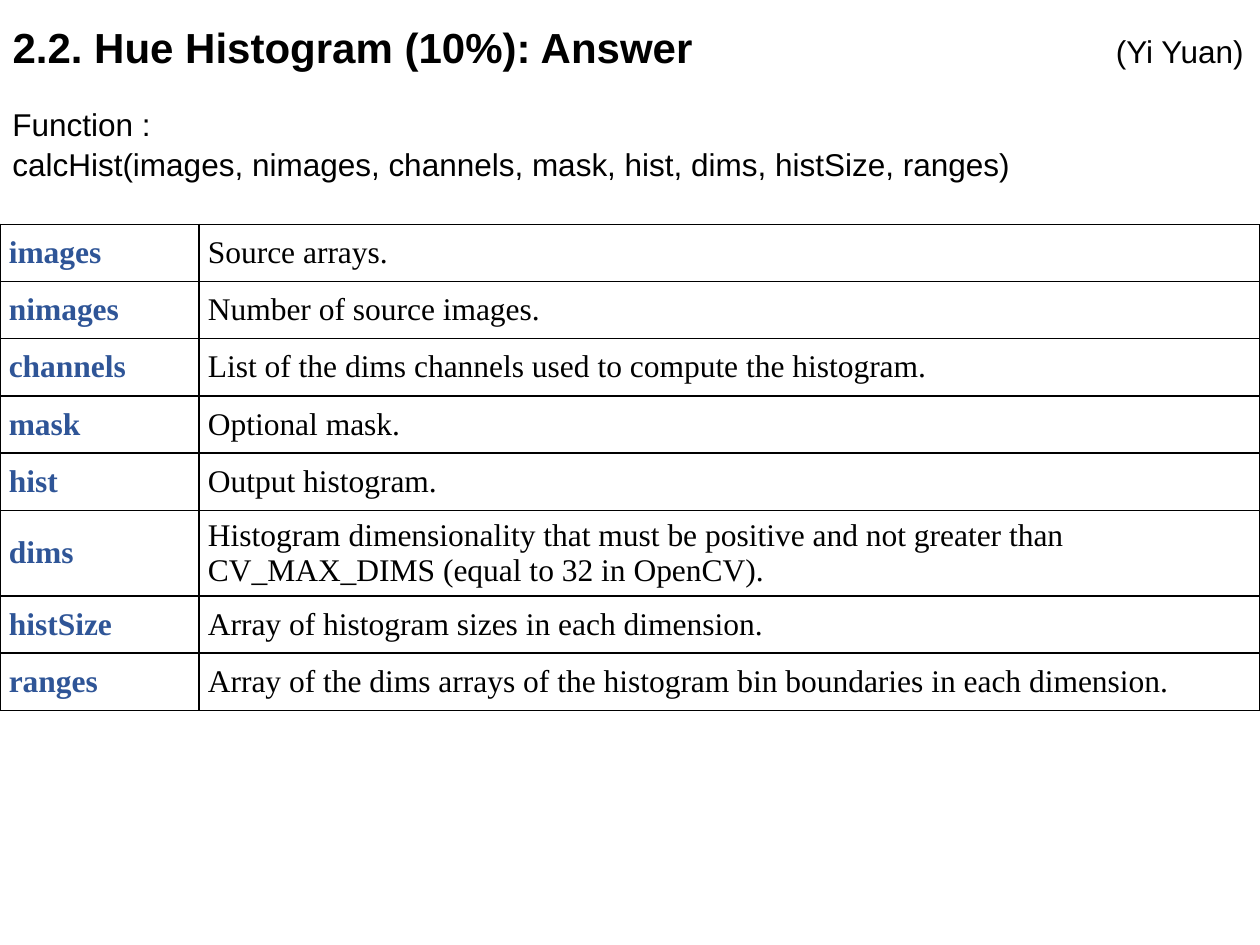
from pptx import Presentation
from pptx.dml.color import RGBColor
from pptx.enum.text import MSO_ANCHOR, MSO_AUTO_SIZE, PP_ALIGN
from pptx.oxml import parse_xml
from pptx.oxml.ns import nsdecls
from pptx.util import Inches, Pt


def color(value):
    return RGBColor.from_string(value)


def add_span(para, text, size, font, ink="000000", bold=False):
    span = para.add_run()
    span.text = text
    span.font.size = Pt(size)
    span.font.name = font
    span.font.bold = bold
    span.font.color.rgb = color(ink)


deck = Presentation()
deck.slide_width, deck.slide_height = Inches(10), Inches(7.5)
page = deck.slides.add_slide(deck.slide_layouts[5])

# Title, with the author at a right-hand tab stop
title = page.shapes.title
title.left, title.top = Inches(0), Inches(0.02)
title.width, title.height = Inches(10), Inches(0.75)
frame = title.text_frame
frame.auto_size = MSO_AUTO_SIZE.NONE
frame.vertical_anchor = MSO_ANCHOR.MIDDLE
frame.margin_left = frame.margin_right = Inches(0.1)
frame.margin_top = frame.margin_bottom = Inches(0.1)
para = frame.paragraphs[0]
para.alignment = PP_ALIGN.LEFT
para.line_spacing = 0.9
para._p.get_or_add_pPr().append(parse_xml(
    f'<a:tabLst {nsdecls("a")}><a:tab pos="{Inches(9.77)}" algn="r"/></a:tabLst>'))
add_span(para, "2.2. Hue Histogram (10%): Answer\t", 24, "Arial", bold=True)
add_span(para, "(Yi Yuan)", 18, "Arial")

# Function signature
box = page.shapes.add_textbox(Inches(0), Inches(0.77), Inches(10), Inches(0.71))
frame = box.text_frame
frame.word_wrap = True
frame.auto_size = MSO_AUTO_SIZE.SHAPE_TO_FIT_TEXT
signature = [
    "Function :",
    "calcHist(images, nimages, channels, mask, hist, dims, histSize, ranges)",
]
for index, line in enumerate(signature):
    para = frame.add_paragraph() if index else frame.paragraphs[0]
    para.line_spacing = 1.05
    add_span(para, line, 18, "Arial")

# Parameter table
parameters = [
    ("images", "Source arrays."),
    ("nimages", "Number of source images."),
    ("channels", "List of the dims channels used to compute the histogram."),
    ("mask", "Optional mask."),
    ("hist", "Output histogram."),
    ("dims", "Histogram dimensionality that must be positive and not greater "
             "than CV_MAX_DIMS (equal to 32 in OpenCV)."),
    ("histSize", "Array of histogram sizes in each dimension."),
    ("ranges", "Array of the dims arrays of the histogram bin boundaries "
               "in each dimension."),
]
table_height, tall_row = 3.86, 0.68
plain_row = (table_height - tall_row) / (len(parameters) - 1)
table = page.shapes.add_table(len(parameters), 2, Inches(0), Inches(1.78),
                              Inches(10), Inches(table_height)).table
table.first_row = table.horz_banding = False
table.columns[0].width = Inches(1.58)
table.columns[1].width = Inches(8.42)

for row, texts in zip(table.rows, parameters):
    row.height = Inches(tall_row if texts[0] == "dims" else plain_row)
    for column, (cell, text) in enumerate(zip(row.cells, texts)):
        cell.vertical_anchor = MSO_ANCHOR.MIDDLE
        cell.margin_left = cell.margin_right = Inches(0.07)
        cell.margin_top = cell.margin_bottom = Inches(0.04)
        is_name = column == 0
        add_span(cell.text_frame.paragraphs[0], text, 18, "Times New Roman",
                 "2F5597" if is_name else "000000", is_name)
        # Borders come before the fill in the cell properties
        properties = cell._tc.get_or_add_tcPr()
        for side in ("lnL", "lnR", "lnT", "lnB"):
            properties.append(parse_xml(
                f'<a:{side} {nsdecls("a")} w="{Pt(1)}"><a:solidFill>'
                f'<a:srgbClr val="000000"/></a:solidFill></a:{side}>'))
        cell.fill.solid()
        cell.fill.fore_color.rgb = color("FFFFFF")

deck.save("out.pptx")
